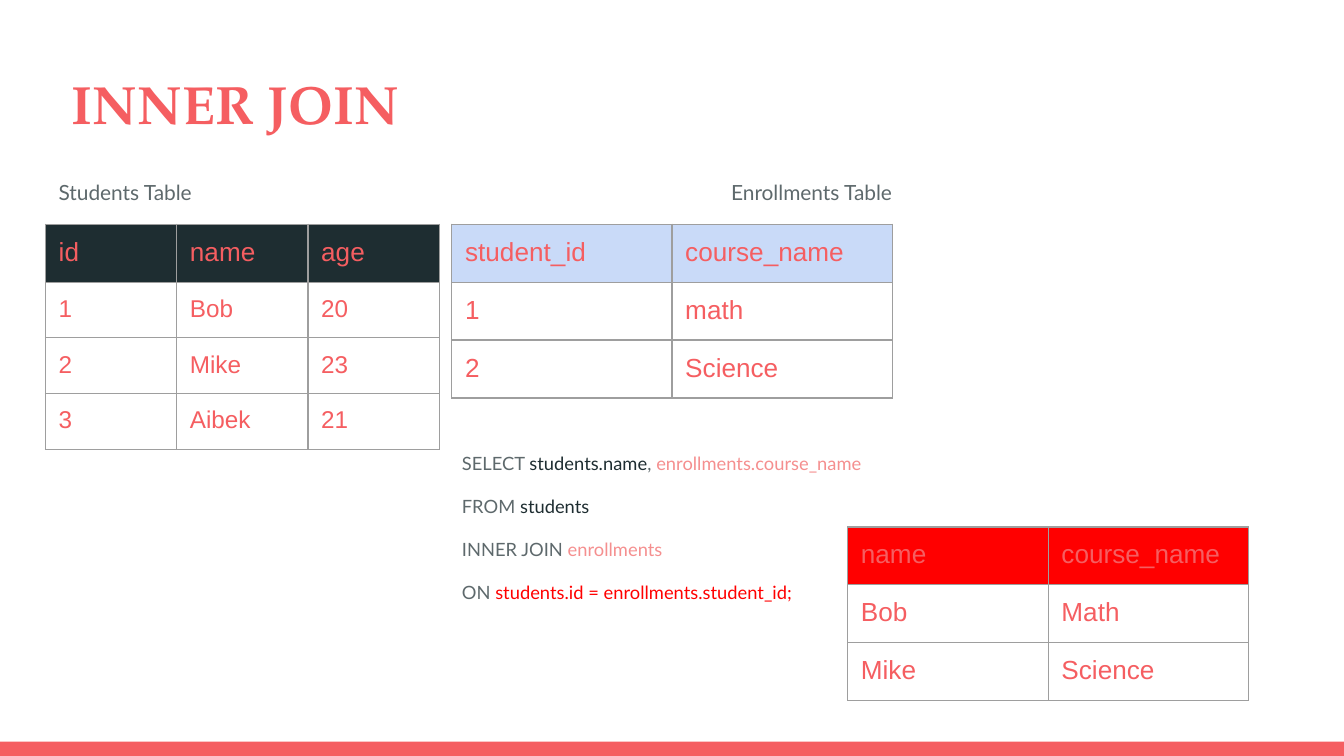
import pptx
import pptx.dml.color
import pptx.enum.shapes
import pptx.enum.text
import pptx.oxml
import pptx.oxml.ns
import pptx.util

Cm = pptx.util.Cm
Pt = pptx.util.Pt
RGBColor = pptx.dml.color.RGBColor

CORAL = RGBColor(0xF5, 0x5E, 0x61)
PINK = RGBColor(0xF5, 0x8F, 0x8F)
GRAY = RGBColor(0x5E, 0x69, 0x6C)
DARK = RGBColor(0x1E, 0x2D, 0x31)
BLUE = RGBColor(0xC9, 0xDA, 0xF8)
RED = RGBColor(0xFF, 0x00, 0x00)
RULE = RGBColor(0x9E, 0x9E, 0x9E)


class Deck:
    inset = Cm(0.25)
    edge = Pt(0.75)

    def __init__(self, slide):
        self.slide = slide

    def run(self, para, text, size, color, font="Lato", bold=False):
        run = para.add_run()
        run.text = text
        run.font.size = Pt(size)
        run.font.name = font
        run.font.bold = bold
        run.font.color.rgb = color

    def pad(self, item):
        item.margin_left = item.margin_right = self.inset
        item.margin_top = item.margin_bottom = self.inset

    def bar(self, left, top, width, height, color):
        shape = self.slide.shapes.add_shape(
            pptx.enum.shapes.MSO_SHAPE.RECTANGLE,
            Cm(left), Cm(top), Cm(width), Cm(height))
        shape.shadow.inherit = False
        shape.fill.solid()
        shape.fill.fore_color.rgb = color
        shape.line.fill.background()

    def text(self, left, top, width, height, lines, size, pitch=0.95, **style):
        box = self.slide.shapes.add_textbox(Cm(left), Cm(top), Cm(width), Cm(height))
        frame = box.text_frame
        frame.word_wrap = True
        self.pad(frame)
        for index, line in enumerate(lines):
            para = frame.add_paragraph() if index else frame.paragraphs[0]
            para.line_spacing = pitch
            para.space_before = Pt(12 if index else 0)
            for words, color in line:
                self.run(para, words, size, color, **style)
        return frame

    def border(self, cell):
        props = cell._tc.get_or_add_tcPr()
        for side in ("lnL", "lnR", "lnT", "lnB"):
            props.append(pptx.oxml.parse_xml(
                f'<a:{side} {pptx.oxml.ns.nsdecls("a")} w="{self.edge}">'
                f'<a:solidFill><a:srgbClr val="{RULE}"/></a:solidFill></a:{side}>'))

    def table(self, left, top, width, rows, head, size=14, height=1.06):
        count = len(rows[0])
        grid = self.slide.shapes.add_table(
            len(rows), count, Cm(left), Cm(top),
            Cm(width * count), Cm(height * len(rows))).table
        grid.first_row = grid.horz_banding = False
        for col in grid.columns:
            col.width = Cm(width)
        for y, row in enumerate(rows):
            grid.rows[y].height = Cm(height if y else 1.06)
            for x, words in enumerate(row):
                cell = grid.cell(y, x)
                self.pad(cell)
                self.border(cell)
                if y:
                    cell.fill.background()
                else:
                    cell.fill.solid()
                    cell.fill.fore_color.rgb = head
                self.run(cell.text_frame.paragraphs[0], words,
                         size if y else 14, CORAL, "Arial")


def main():
    show = pptx.Presentation()
    show.slide_width, show.slide_height = Cm(25.4), Cm(14.29)
    deck = Deck(show.slides.add_slide(show.slide_layouts[6]))

    deck.bar(0, 14.02, 25.4, 0.27, CORAL)
    title = deck.text(1.11, 1.09, 23.42, 1.73, [[("INNER JOIN", CORAL)]],
                      28.8, 1, font="TeX Gyre Pagella", bold=True)
    title.vertical_anchor = pptx.enum.text.MSO_ANCHOR.MIDDLE

    for left, label in ((0.86, "Students Table"), (13.57, "Enrollments Table")):
        deck.text(left, 3.2, 5, 1, [[(label, GRAY)]], 11.2)

    query = [
        [("SELECT ", GRAY), ("students.name", DARK), (", ", GRAY),
         ("enrollments.course_name", PINK)],
        [("FROM ", GRAY), ("students", DARK)],
        [("INNER JOIN ", GRAY), ("enrollments", PINK)],
        [("ON ", GRAY), ("students.id = enrollments.student_id;", RED)],
    ]
    deck.text(8.48, 8.32, 10, 3.5, query, 9.8)

    deck.table(0.86, 4.24, 2.48, [
        ("id", "name", "age"), ("1", "Bob", "20"),
        ("2", "Mike", "23"), ("3", "Aibek", "21")], DARK, 13, 1.02)
    deck.table(8.54, 4.24, 4.16, [
        ("student_id", "course_name"), ("1", "math"), ("2", "Science")], BLUE)
    deck.table(16.02, 9.96, 3.79, [
        ("name", "course_name"), ("Bob", "Math"), ("Mike", "Science")], RED)

    show.save("out.pptx")


if __name__ == "__main__":
    main()
